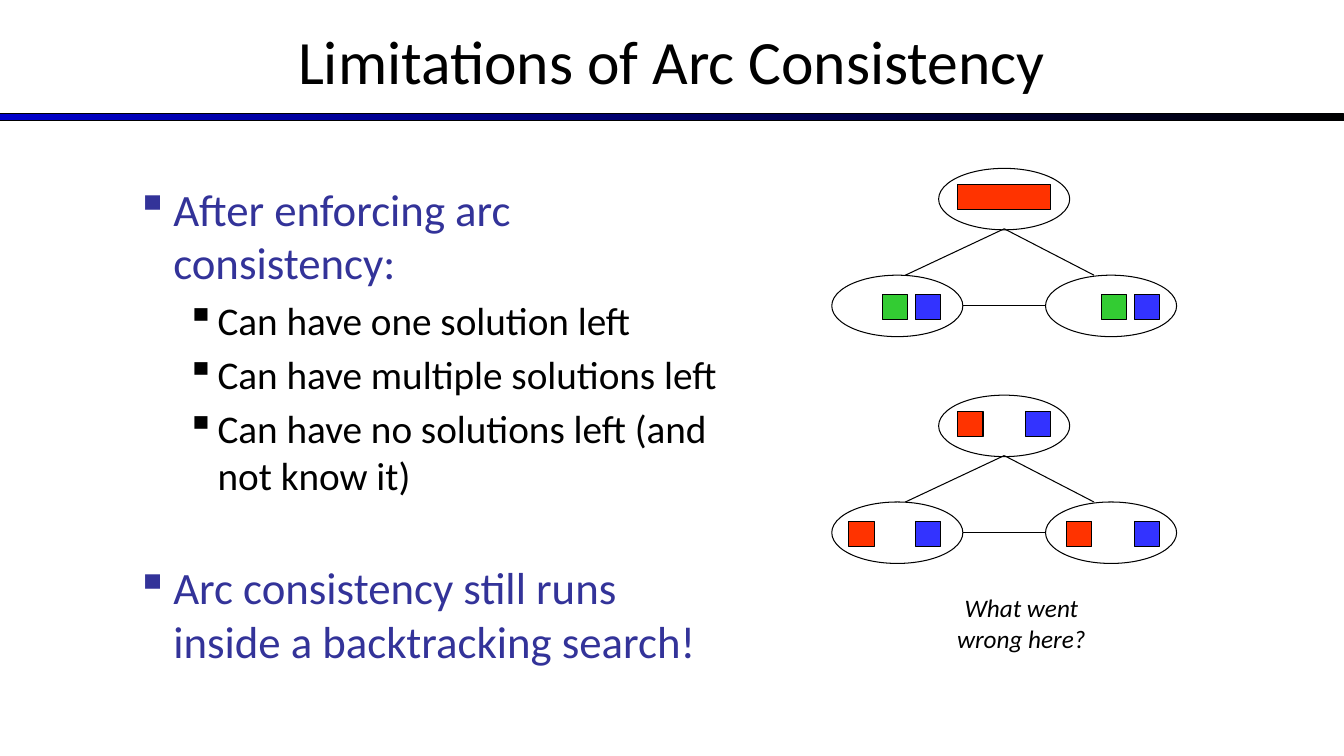
from lxml import etree
from pptx import Presentation
from pptx.dml.color import RGBColor
from pptx.enum.shapes import MSO_CONNECTOR as CONNECTOR, MSO_SHAPE as SHAPE
from pptx.enum.text import MSO_ANCHOR as ANCHOR, PP_ALIGN as ALIGN
from pptx.oxml.ns import qn
from pptx.util import Inches, Pt

COLORS = {
    "black": "000000",
    "navy": "0000CC",
    "indigo": "333399",
    "red": "FF3300",
    "green": "33CC33",
    "blue": "3333FF",
}


def rgb(name):
    return RGBColor.from_string(COLORS[name])


def add_text(frame, text, size=18, color="black", italic=False, align=ALIGN.LEFT,
             before=0, margin=0, hanging=0, level=0, first=False):
    paragraph = frame.paragraphs[0] if first else frame.add_paragraph()
    paragraph.alignment = align
    paragraph.level = level
    paragraph.space_before = Pt(before)
    run = paragraph.add_run()
    run.text = text
    run.font.name = "Calibri"
    run.font.size = Pt(size)
    run.font.italic = italic
    run.font.color.rgb = rgb(color)
    if hanging:
        properties = paragraph._p.get_or_add_pPr()
        properties.set("marL", str(Inches(margin)))
        properties.set("indent", str(-Inches(hanging)))
        bullet_color = etree.SubElement(properties, qn("a:buClr"))
        etree.SubElement(bullet_color, qn("a:srgbClr"), val=COLORS[color])
        etree.SubElement(properties, qn("a:buChar"), char="▪")


presentation = Presentation()
presentation.slide_width = Inches(13.33)
presentation.slide_height = Inches(7.5)
slide = presentation.slides.add_slide(presentation.slide_layouts[6])
shapes = slide.shapes

rule = shapes.add_shape(SHAPE.RECTANGLE, 0, Inches(1.13), Inches(13.33), Inches(0.07))
rule.shadow.inherit = False
rule.fill.gradient()
rule.fill.gradient_angle = 0
for stop, color, position in zip(rule.fill.gradient_stops, ("navy", "black"), (0, 1)):
    stop.color.rgb = rgb(color)
    stop.position = position
rule.line.color.rgb = rgb("black")
rule.line.width = Pt(0.75)

title = shapes.add_textbox(0, Inches(-0.03), Inches(13.33), Inches(1.25)).text_frame
title.word_wrap = True
title.vertical_anchor = ANCHOR.MIDDLE
add_text(title, "Limitations of Arc Consistency", size=44, align=ALIGN.CENTER, first=True)

body = shapes.add_textbox(Inches(1.25), Inches(1.75), Inches(6.08), Inches(4.95)).text_frame
body.word_wrap = True
main_point = {"size": 32, "color": "indigo", "margin": 0.37, "hanging": 0.37}
add_text(body, "After enforcing arc consistency:", before=5, first=True, **main_point)
for outcome in (
    "Can have one solution left",
    "Can have multiple solutions left",
    "Can have no solutions left (and not know it)",
):
    add_text(body, outcome, size=28, before=5, margin=0.81, hanging=0.31, level=1)
add_text(body, "Arc consistency still runs inside a backtracking search!", before=44, **main_point)

NODES = [(9.31, 0), (10.37, 1.06), (8.25, 1.06)]
ARCS = [(9.96, 0.6, 8.98, 1.06), (9.96, 0.6, 10.85, 1.06), (9.55, 1.36, 10.37, 1.36)]
NETWORKS = [
    (1.67, [
        (9.5, 0.16, 0.92, "red"),
        (8.75, 1.25, 0.25, "green"),
        (9.08, 1.25, 0.25, "blue"),
        (10.92, 1.25, 0.25, "green"),
        (11.25, 1.25, 0.25, "blue"),
    ]),
    (3.92, [
        (9.5, 0.16, 0.25, "red"),
        (10.17, 0.16, 0.25, "blue"),
        (8.42, 1.25, 0.25, "red"),
        (9.08, 1.25, 0.25, "blue"),
        (10.58, 1.25, 0.25, "red"),
        (11.25, 1.25, 0.25, "blue"),
    ]),
]

for top, values in NETWORKS:
    outlines = [(SHAPE.OVAL, left, offset, 1.3, 0.61, None) for left, offset in NODES]
    outlines += [(SHAPE.RECTANGLE, left, offset, width, 0.25, color)
                 for left, offset, width, color in values]
    for kind, left, offset, width, height, color in outlines:
        shape = shapes.add_shape(
            kind, Inches(left), Inches(top + offset), Inches(width), Inches(height))
        shape.shadow.inherit = False
        if color:
            shape.fill.solid()
            shape.fill.fore_color.rgb = rgb(color)
        else:
            shape.fill.background()
        shape.line.color.rgb = rgb("black")
        shape.line.width = Pt(0.75)
    for x1, y1, x2, y2 in ARCS:
        arc = shapes.add_connector(
            CONNECTOR.STRAIGHT, Inches(x1), Inches(top + y1), Inches(x2), Inches(top + y2))
        arc.line.color.rgb = rgb("black")
        arc.line.width = Pt(0.75)
        etree.SubElement(arc._element.spPr, qn("a:effectLst"))

question = shapes.add_textbox(Inches(9.17), Inches(5.83), Inches(1.92), Inches(0.71)).text_frame
question.word_wrap = True
add_text(question, "What went wrong here?", italic=True, align=ALIGN.CENTER, before=9, first=True)

presentation.save("out.pptx")
